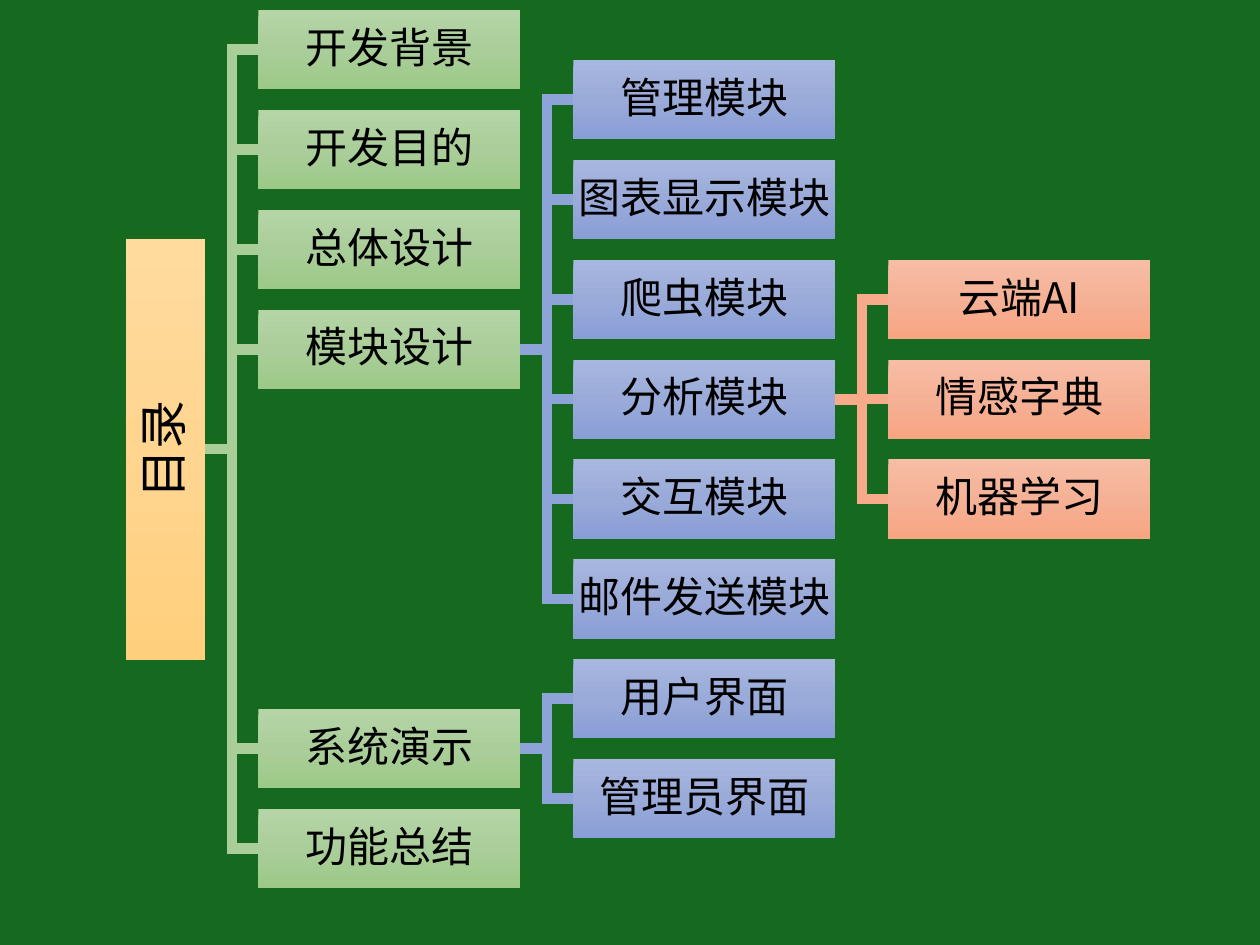
from copy import deepcopy

from lxml import etree
from pptx import Presentation
from pptx.dml.color import RGBColor
from pptx.enum.shapes import MSO_CONNECTOR, MSO_SHAPE
from pptx.enum.text import MSO_ANCHOR, PP_ALIGN
from pptx.oxml.ns import qn
from pptx.util import Inches, Pt

RECTANGLE = MSO_SHAPE.RECTANGLE
STRAIGHT = MSO_CONNECTOR.STRAIGHT
MIDDLE = MSO_ANCHOR.MIDDLE
CENTER = PP_ALIGN.CENTER
LEFT_SIDE, RIGHT_SIDE = 1, 3

FONT = "Noto Sans CJK SC"
NODE_WIDTH, NODE_HEIGHT = Inches(2.08), Inches(0.63)
ROOT_LENGTH = Inches(3.34)
GAP = Inches(0.42)
LAST_ROW = 17  # half rows, counted from 1

# Gradient stops and branch colour of each level
LEVELS = [
    (("FFDB9E", "FFD590", "FFD07C"), None),
    (("B5D5A7", "AACE9A", "9CC987"), "A9CE98"),
    (("A8B7DF", "9AABD9", "889ED7"), "8EA3D8"),
    (("F7BDA5", "F5B196", "F8A582"), "F7AB8B"),
]

ROOT_ROW = 9
CHAPTER_ROWS = {"开发背景": 1, "开发目的": 3, "总体设计": 5,
                "模块设计": 7, "系统演示": 15, "功能总结": 17}
CHILDREN = {
    "目录": list(CHAPTER_ROWS),
    "模块设计": ["管理模块", "图表显示模块", "爬虫模块",
             "分析模块", "交互模块", "邮件发送模块"],
    "分析模块": ["云端AI", "情感字典", "机器学习"],
    "系统演示": ["用户界面", "管理员界面"],
}


def color(value):
    return RGBColor.from_string(value)


def set_gradient(shape, stops):
    """Fill from top to bottom with three evenly spaced colours."""
    shape.fill.gradient()
    shape.fill.gradient_angle = 270
    gradient = shape._element.spPr.find(qn("a:gradFill"))
    gradient.set("rotWithShape", "0")
    stop_list = gradient.find(qn("a:gsLst"))
    stop_list.insert(1, deepcopy(stop_list[0]))
    for index, stop in enumerate(shape.fill.gradient_stops):
        stop.position = index / 2
        stop.color.rgb = color(stops[index])


def add_node(slide, label, box, stops, size, rotation=0):
    shape = slide.shapes.add_shape(RECTANGLE, *box)
    shape.rotation = rotation
    shape.shadow.inherit = False
    shape.line.fill.background()
    set_gradient(shape, stops)

    frame = shape.text_frame
    margins = {f"margin_{side}": Inches(0.02)
               for side in ("left", "top", "right", "bottom")}
    frame_format = {"word_wrap": True, "vertical_anchor": MIDDLE, **margins}
    for name, value in frame_format.items():
        setattr(frame, name, value)

    paragraph = frame.paragraphs[0]
    paragraph_format = {"text": label, "alignment": CENTER,
                        "line_spacing": 0.9, "space_after": Pt(size * 0.35)}
    for name, value in paragraph_format.items():
        setattr(paragraph, name, value)
    font = paragraph.runs[0].font
    font.name, font.size = FONT, Pt(size)
    font.color.rgb = color("000000")
    properties = paragraph.runs[0]._r.get_or_add_rPr()
    etree.SubElement(properties, qn("a:ea"), typeface=FONT)
    return shape


def add_branch(slide, parent, child, start, end, branch_color):
    """Join two nodes by a straight line or by a right-angled one."""
    (x1, y1), (x2, y2) = start, end
    if y1 == y2:
        branch = slide.shapes.add_connector(STRAIGHT, x1, y1, x2, y2)
        branch.begin_connect(parent, RIGHT_SIDE)
        branch.end_connect(child, LEFT_SIDE)
        etree.SubElement(branch._element.spPr, qn("a:effectLst"))
    else:
        middle = (x1 + x2) // 2
        builder = slide.shapes.build_freeform(x1, y1)
        builder.add_line_segments([(middle, y1), (middle, y2), (x2, y2)],
                                  close=False)
        branch = builder.convert_to_shape()
        branch.fill.background()
        branch.shadow.inherit = False
    branch.line.color.rgb = color(branch_color)
    branch.line.width = Pt(6)
    outline = branch._element.spPr.find(qn("a:ln"))
    etree.SubElement(outline, qn("a:miter"), lim="800000")


def add_tree(slide, left, top, height):
    half_row = (height - NODE_HEIGHT) / (LAST_ROW - 1)

    def center_of(row):
        return round(top + NODE_HEIGHT / 2 + (row - 1) * half_row)

    def add_children(parent, parent_label, parent_row, level, right):
        labels = CHILDREN.get(parent_label, [])
        stops, branch_color = LEVELS[level] if labels else (None, None)
        for index, label in enumerate(labels):
            # Below the chapters, children are centred on their parent
            centred_row = parent_row + 2 * index - (len(labels) - 1)
            row = CHAPTER_ROWS.get(label, centred_row)
            x, y = right + GAP, center_of(row)
            box = (x, y - NODE_HEIGHT // 2, NODE_WIDTH, NODE_HEIGHT)
            node = add_node(slide, label, box, stops, 24)
            add_branch(slide, parent, node, (right, center_of(parent_row)),
                       (x, y), branch_color)
            add_children(node, label, row, level + 1, x + NODE_WIDTH)

    # The root stands upright: a long box turned a quarter to the left
    root_box = (left + (NODE_HEIGHT - ROOT_LENGTH) // 2,
                center_of(ROOT_ROW) - NODE_HEIGHT // 2,
                ROOT_LENGTH, NODE_HEIGHT)
    root = add_node(slide, "目录", root_box, LEVELS[0][0], 28, rotation=270)
    add_children(root, "目录", ROOT_ROW, 1, left + NODE_HEIGHT)


def main():
    presentation = Presentation()
    presentation.slide_width = Inches(10)
    presentation.slide_height = Inches(7.5)
    slide = presentation.slides.add_slide(presentation.slide_layouts[6])
    slide.background.fill.solid()
    slide.background.fill.fore_color.rgb = color("166A1F")
    add_tree(slide, Inches(1), Inches(0.08), Inches(6.97))
    presentation.save("out.pptx")


if __name__ == "__main__":
    main()
